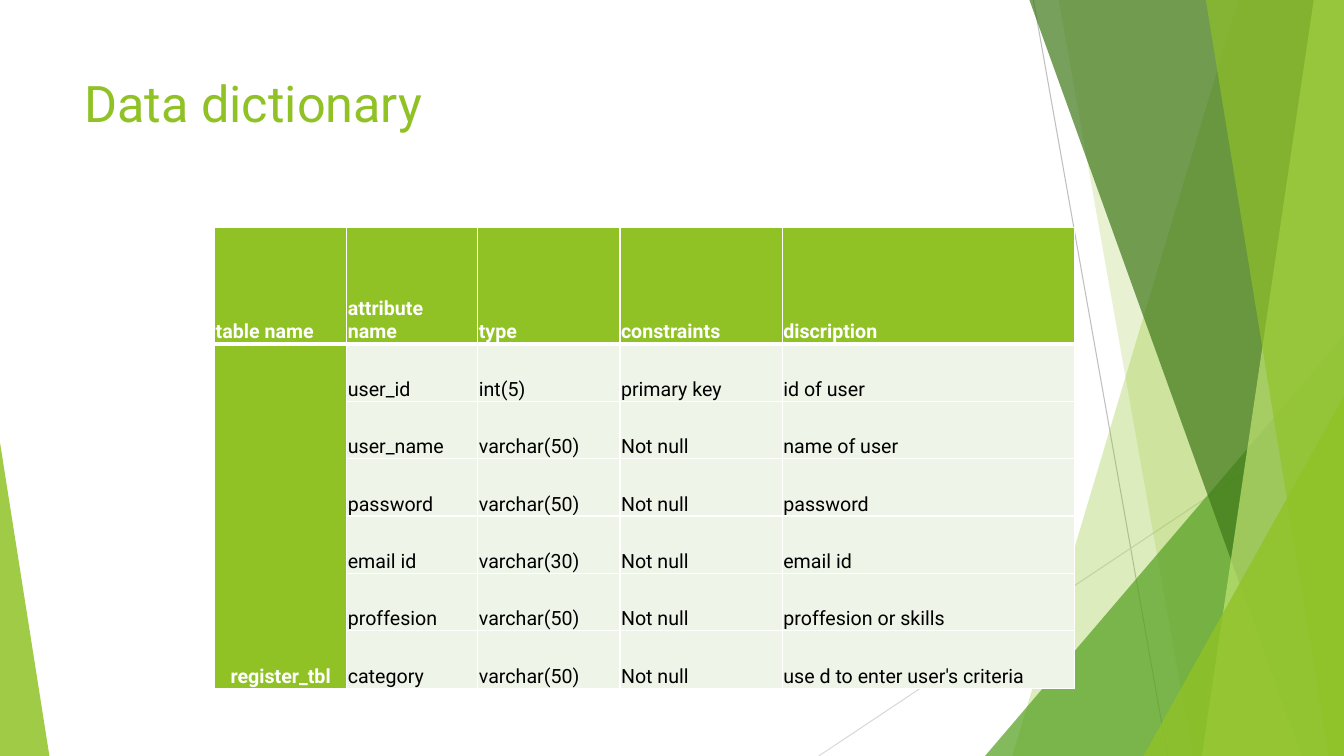
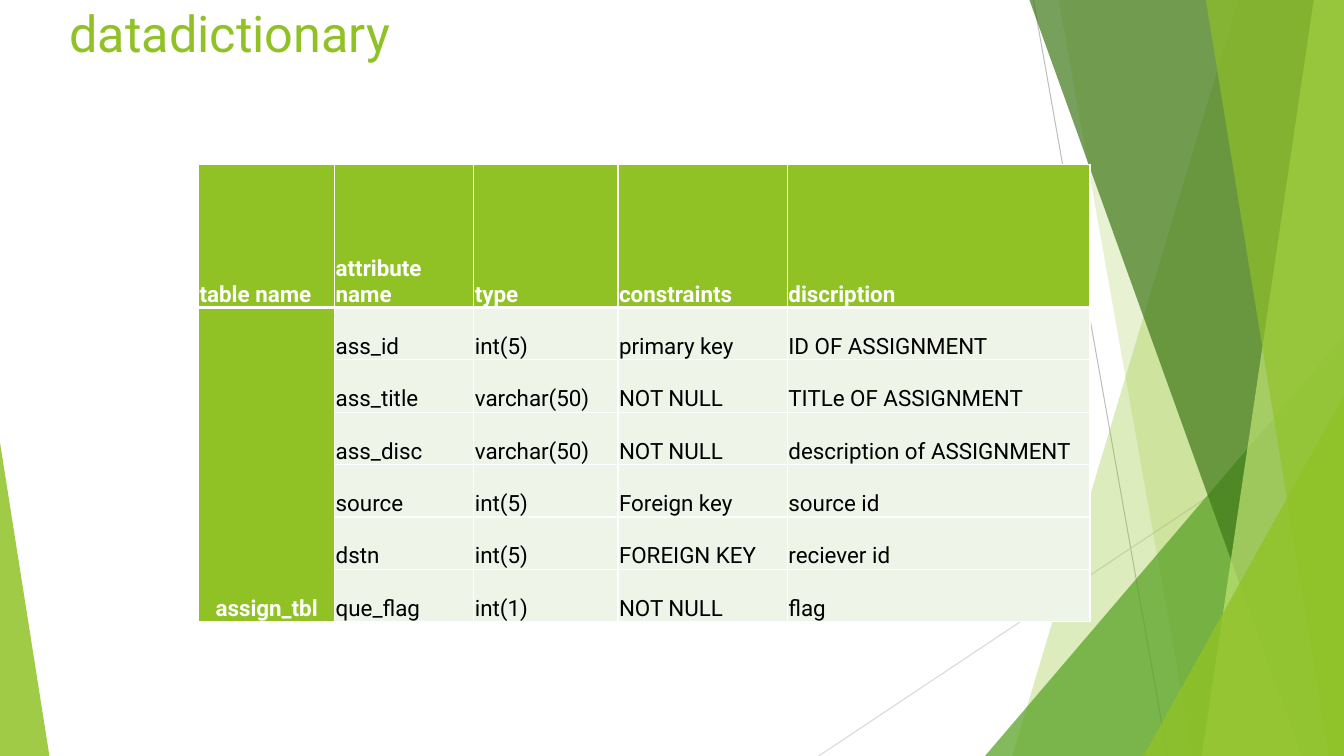
"""Build two data dictionary slides with a faceted green backdrop."""
from dataclasses import dataclass
from typing import Any, NamedTuple

from lxml.etree import SubElement
from pptx import Presentation
from pptx.dml.color import RGBColor
from pptx.enum.shapes import MSO_CONNECTOR, MSO_SHAPE
from pptx.enum.text import MSO_ANCHOR, PP_ALIGN
from pptx.oxml.ns import qn
from pptx.util import Inches, Pt


@dataclass(frozen=True)
class Theme:
    """Colours, font and type sizes shared by the slides."""
    font: str = "Roboto"
    title_size: int = 36
    accent: str = "90C226"
    leaf: str = "54A021"
    forest: str = "3F7819"
    lime: str = "C0E474"
    row: str = "EEF4E8"
    white: str = "FFFFFF"
    black: str = "000000"
    steep_line: str = "BFBFBF"
    flat_line: str = "D9D9D9"
    line_width: float = 0.75
    border: int = 1
    header_border: int = 3


class Box(NamedTuple):
    """Left, top, width and height in inches."""
    left: float
    top: float
    width: float
    height: float


class Ray(NamedTuple):
    """A thin straight line behind the facets."""
    start: tuple[float, float]
    end: tuple[float, float]
    color: str


class Facet(NamedTuple):
    """A full-height panel between a slanted left edge and the right edge."""
    top_x: float
    bottom_x: float
    color: str
    opacity: int


class Wedge(NamedTuple):
    """A right triangle with its apex at a share of its width."""
    box: Box
    apex: int
    color: str
    opacity: int


class DictionarySlide(NamedTuple):
    """The title and table of one slide."""
    title: str
    title_box: Box
    left: float
    top: float
    columns: tuple[float, ...]
    header_height: float
    row_height: float
    text_size: int
    table_name: str
    rows: tuple[tuple[str, ...], ...]


THEME = Theme()
WIDTH, HEIGHT = 13.33, 7.5
HEADINGS = ("table name", "attribute name", "type", "constraints", "discription")
RAYS = (
    Ray((10.25, 0), (11.58, HEIGHT), THEME.steep_line),
    Ray((WIDTH, 4.03), (8.12, HEIGHT), THEME.flat_line),
)
FACETS = (
    Facet(12.28, 10.04, THEME.accent, 30),
    Facet(10.5, 11.83, THEME.accent, 20),
    Wedge(Box(9.77, 3.33, 3.56, 4.17), 1, THEME.leaf, 72),
    Facet(10.21, 12.91, THEME.forest, 70),
    Facet(13.03, 11.92, THEME.lime, 70),
    Facet(11.96, 13.18, THEME.accent, 65),
    Wedge(Box(11.34, 3.93, 1.99, 3.57), 1, THEME.accent, 80),
    Wedge(Box(0, 4.39, 0.49, 3.11), 0, THEME.accent, 85),
)
CELL_FORMAT = {
    "vertical_anchor": MSO_ANCHOR.BOTTOM,
    "margin_left": Inches(0.01),
    "margin_right": Inches(0.01),
    "margin_top": Inches(0.01),
    "margin_bottom": 0,
}
SLIDES = (
    DictionarySlide(
        "Data dictionary", Box(0.74, 0.67, 9.4, 1.44), 2.13, 2.26,
        (1.31, 1.3, 1.41, 1.61, 2.9), 1.15, 0.57, 14, "register_tbl",
        (
            ("user_id", "int(5)", "primary key", "id of user"),
            ("user_name", "varchar(50)", "Not null", "name of user"),
            ("password", "varchar(50)", "Not null", "password"),
            ("email id", "varchar(30)", "Not null", "email id"),
            ("proffesion", "varchar(50)", "Not null", "proffesion or skills"),
            ("category", "varchar(50)", "Not null", "use d to enter user's criteria"),
        ),
    ),
    DictionarySlide(
        "datadictionary", Box(0.59, -0.03, 4.2, 0.77), 1.97, 1.63,
        (1.35, 1.38, 1.43, 1.68, 3), 1.42, 0.52, 16, "assign_tbl",
        (
            ("ass_id", "int(5)", "primary key", "ID OF ASSIGNMENT"),
            ("ass_title", "varchar(50)", "NOT NULL", "TITLe OF ASSIGNMENT"),
            ("ass_disc", "varchar(50)", "NOT NULL", "description of ASSIGNMENT"),
            ("source", "int(5)", "Foreign key", "source id"),
            ("dstn", "int(5)", "FOREIGN KEY", "reciever id"),
            ("que_flag", "int(1)", "NOT NULL", "flag"),
        ),
    ),
)


def apply_format(target: Any, values: dict[str, Any]) -> None:
    """Set each named attribute on the target."""
    for name, value in values.items():
        setattr(target, name, value)


def style_font(font: Any, size: int, color: str, bold: bool = False) -> None:
    """Give a font the theme typeface, a size, a colour and a weight."""
    apply_format(font, {"name": THEME.font, "size": Pt(size), "bold": bold})
    font.color.rgb = RGBColor.from_string(color)


def draw_ray(slide: Any, ray: Ray) -> None:
    """Draw one thin background line."""
    points = [Inches(value) for value in (*ray.start, *ray.end)]
    connector = slide.shapes.add_connector(MSO_CONNECTOR.STRAIGHT, *points)
    connector.line.color.rgb = RGBColor.from_string(ray.color)
    connector.line.width = Pt(THEME.line_width)
    SubElement(connector.element.spPr, qn("a:effectLst"))


def draw_facet(slide: Any, facet: Facet | Wedge) -> None:
    """Draw one translucent panel or triangle."""
    if isinstance(facet, Wedge):
        shape = slide.shapes.add_shape(
            MSO_SHAPE.ISOSCELES_TRIANGLE, *map(Inches, facet.box))
        shape.adjustments[0] = facet.apex
    else:
        corners = ((WIDTH, 0), (WIDTH, HEIGHT), (facet.bottom_x, HEIGHT))
        builder = slide.shapes.build_freeform(Inches(facet.top_x), 0)
        builder.add_line_segments([(Inches(x), Inches(y)) for x, y in corners])
        shape = builder.convert_to_shape()
    shape.shadow.inherit = False
    shape.line.fill.background()
    shape.fill.solid()
    shape.fill.fore_color.rgb = RGBColor.from_string(facet.color)
    color = shape.element.spPr.find(f"{qn('a:solidFill')}/{qn('a:srgbClr')}")
    SubElement(color, qn("a:alpha"), val=str(facet.opacity * 1000))


def draw_title(slide: Any, text: str, box: Box) -> None:
    """Draw the slide title."""
    frame = slide.shapes.add_textbox(*map(Inches, box)).text_frame
    apply_format(frame, {"word_wrap": True, "vertical_anchor": MSO_ANCHOR.TOP})
    paragraph = frame.paragraphs[0]
    paragraph.text = text
    style_font(paragraph.font, THEME.title_size, THEME.accent)


def draw_borders(cell: Any, top: int, bottom: int) -> None:
    """Give a cell white borders of the stated point widths."""
    properties = cell._tc.get_or_add_tcPr()
    widths = {"L": THEME.border, "R": THEME.border, "T": top, "B": bottom}
    for side, width in widths.items():
        line = SubElement(properties, qn(f"a:ln{side}"), w=str(Pt(width)))
        fill = SubElement(line, qn("a:solidFill"))
        SubElement(fill, qn("a:srgbClr"), val=THEME.white)


def draw_table(slide: Any, content: DictionarySlide) -> None:
    """Draw the attribute table with its merged name column."""
    grid = [HEADINGS]
    for index, row in enumerate(content.rows):
        grid.append((content.table_name if index == 0 else "", *row))
    heights = [content.header_height] + [content.row_height] * len(content.rows)
    box = Box(content.left, content.top, sum(content.columns), sum(heights))
    table = slide.shapes.add_table(
        len(grid), len(HEADINGS), *map(Inches, box)).table
    for column, width in zip(table.columns, content.columns):
        column.width = Inches(width)
    for row, height in zip(table.rows, heights):
        row.height = Inches(height)
    table.cell(1, 0).merge(table.cell(len(content.rows), 0))
    for row_index, texts in enumerate(grid):
        for column_index, text in enumerate(texts):
            cell = table.cell(row_index, column_index)
            strong = row_index == 0 or column_index == 0
            apply_format(cell, CELL_FORMAT)
            draw_borders(
                cell,
                THEME.header_border if row_index == 1 else THEME.border,
                THEME.header_border if row_index == 0 else THEME.border)
            cell.fill.solid()
            cell.fill.fore_color.rgb = RGBColor.from_string(
                THEME.accent if strong else THEME.row)
            paragraph = cell.text_frame.paragraphs[0]
            paragraph.text = text
            if row_index and column_index == 0:
                paragraph.alignment = PP_ALIGN.CENTER
            for run in paragraph.runs:
                style_font(run.font, content.text_size,
                           THEME.white if strong else THEME.black, strong)


def main() -> None:
    """Build and save the presentation."""
    presentation = Presentation()
    apply_format(presentation, {
        "slide_width": Inches(WIDTH), "slide_height": Inches(HEIGHT)})
    for content in SLIDES:
        slide = presentation.slides.add_slide(presentation.slide_layouts[6])
        for ray in RAYS:
            draw_ray(slide, ray)
        for facet in FACETS:
            draw_facet(slide, facet)
        draw_title(slide, content.title, content.title_box)
        draw_table(slide, content)
    presentation.save("out.pptx")


if __name__ == "__main__":
    main()
